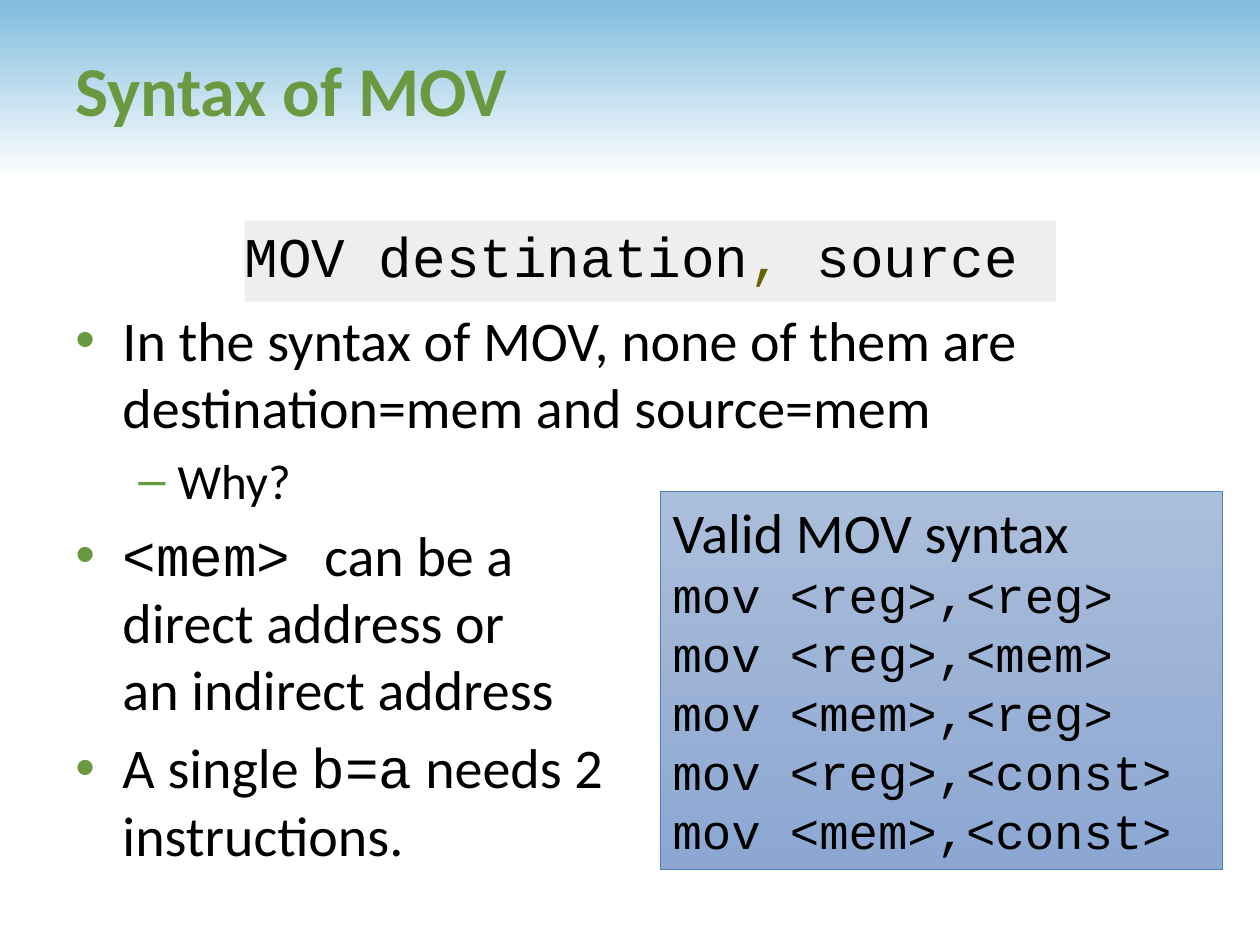
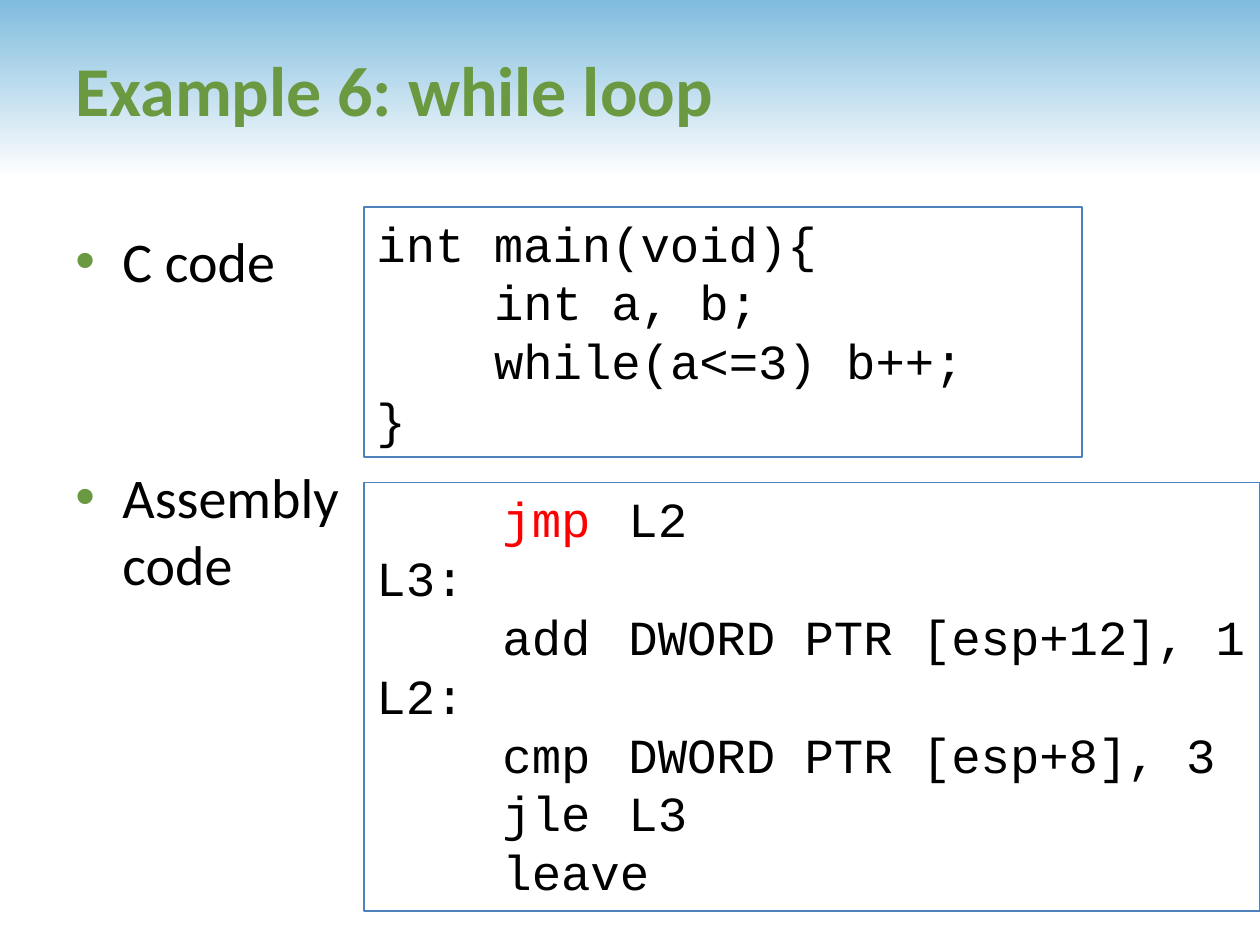
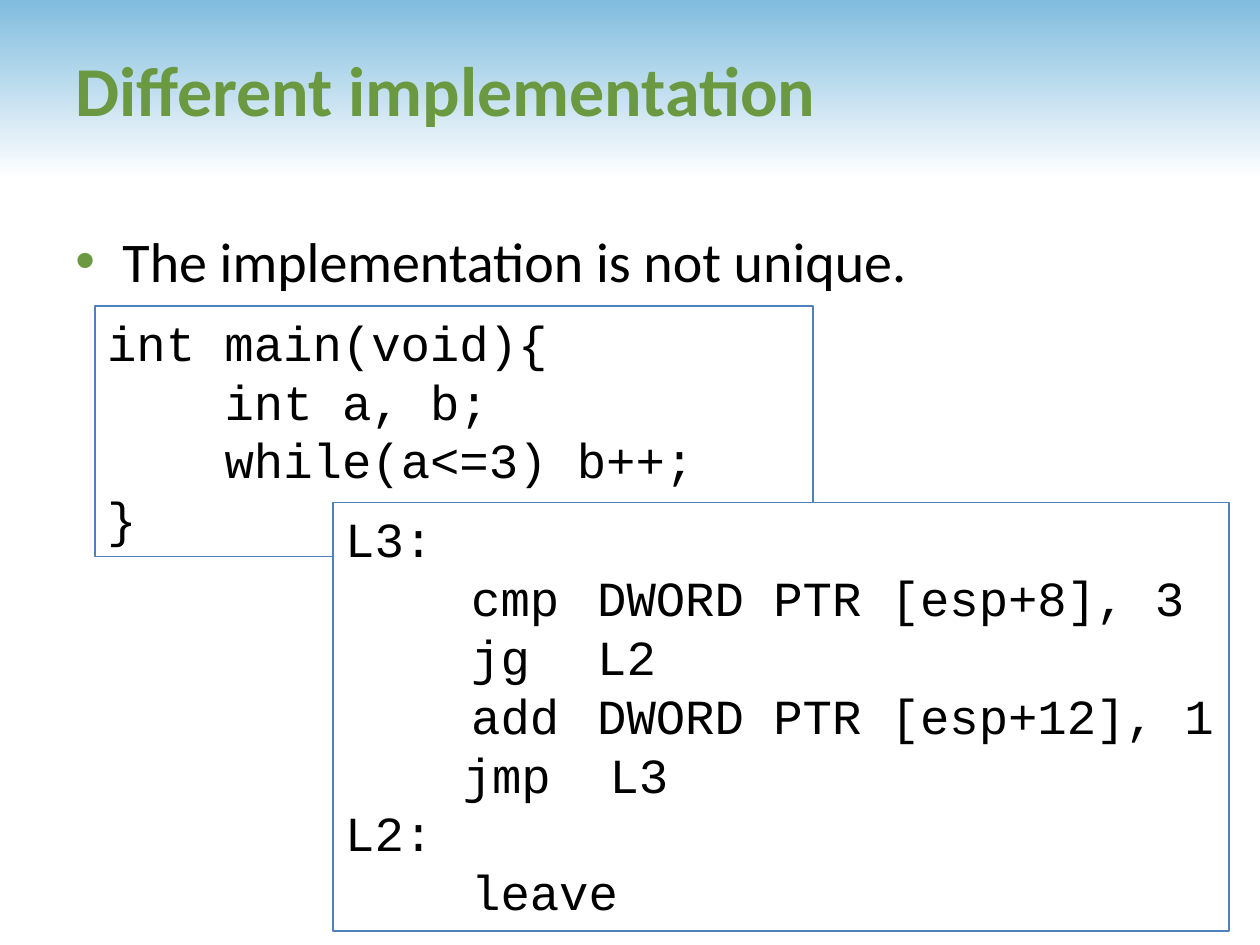
from lxml.etree import SubElement as Sub
from pptx import Presentation as Deck
from pptx.dml.color import RGBColor as Color
from pptx.enum.shapes import MSO_SHAPE as Kind
from pptx.enum.text import MSO_ANCHOR as Anchor, PP_ALIGN as Align
from pptx.oxml.ns import qn
from pptx.util import Cm, Pt

HUES = {
    "sky": "80BCDE", "white": "FFFFFF", "green": "6B9941", "black": "000000",
    "edge": "4F81BD", "pale": "ABBEDB", "deep": "8CA7D2", "gray": "EEEEEE",
    "olive": "666600", "red": "FF0000",
}
SANS, MONO = "Calibri", "Courier New"
LEVELS = [
    {"mark": "•", "left": 0.95, "hang": 0.95, "size": 32},
    {"mark": "–", "left": 2.06, "hang": 0.79, "size": 28},
]
FRAME = {"word_wrap": True, "vertical_anchor": Anchor.TOP}
CODE = FRAME | {"margin_right": Cm(0)}
TITLE = FRAME | {"vertical_anchor": Anchor.MIDDLE}
SYNTAX = TITLE | {
    "margin_left": Cm(0), "margin_right": Cm(0),
    "margin_top": Cm(0), "margin_bottom": Cm(0.25),
}
C_SIZE, ASM_SIZE = (14.48, 5.05), (18.06, 8.64)
C_TABS, ASM_TABS = (2.37, 5.33), (2.54, 5.08)
LOOP = ["int main(void){", "\tint a, b;", "\twhile(a<=3) b++;", "}"]


def tint(name):
    return Color.from_string(HUES[name])


def apply(item, form):
    for key, value in form.items():
        setattr(item, key, value)


def add_run(para, text, size, face=SANS, hue="black", bold=False):
    for row, line in enumerate(text.split("\n")):
        if row:
            para.add_line_break()
        run = para.add_run()
        run.text = line
        apply(run.font, {"name": face, "size": Pt(size), "bold": bold})
        run.font.color.rgb = tint(hue)


def add_paras(frame, count):
    paras = [frame.paragraphs[0]]
    paras += [frame.add_paragraph() for _ in range(count - 1)]
    for para in paras:
        apply(para, {"alignment": Align.LEFT, "space_before": Pt(0)})
    return paras


def set_tabs(para, stops):
    tabs = Sub(para._p.get_or_add_pPr(), qn("a:tabLst"))
    for stop in stops:
        Sub(tabs, qn("a:tab"), pos=str(Cm(stop)), algn="l")


def set_mark(para, level):
    props = para._p.get_or_add_pPr()
    props.set("marL", str(Cm(level["left"])))
    props.set("indent", str(-Cm(level["hang"])))
    shade = Sub(props, qn("a:buClr"))
    Sub(shade, qn("a:srgbClr"), val=HUES["green"])
    Sub(props, qn("a:buFont"), typeface="Arial")
    Sub(props, qn("a:buChar"), char=level["mark"])


def add_box(slide, box, fills, line=None, width=1, form=FRAME, kind=Kind.RECTANGLE):
    shape = slide.shapes.add_shape(kind, *map(Cm, box))
    shape.shadow.inherit = False
    if len(fills) == 1:
        shape.fill.solid()
        shape.fill.fore_color.rgb = tint(fills[0])
    else:
        shape.fill.gradient()
        shape.fill.gradient_angle = 270
        for stop, hue in zip(shape.fill.gradient_stops, fills):
            stop.color.rgb = tint(hue)
    if line:
        shape.line.color.rgb = tint(line)
        shape.line.width = Pt(width)
    else:
        shape.line.fill.background()
    apply(shape.text_frame, form)
    return shape


def add_text(slide, box, form=FRAME):
    frame = slide.shapes.add_textbox(*map(Cm, box)).text_frame
    apply(frame, form)
    return frame


def add_page(deck, title):
    slide = deck.slides.add_slide(deck.slide_layouts[6])
    band = add_box(slide, (0, 0, 25.4, 3.61), ["sky", "white"], kind=Kind.PENTAGON)
    band.adjustments[0] = 0
    frame = add_text(slide, (1.27, 0.2, 23.06, 3.18), TITLE)
    add_run(add_paras(frame, 1)[0], title, 40, hue="green", bold=True)
    return slide


def add_list(slide, box, items):
    frame = add_text(slide, box)
    for para, (depth, gap, runs) in zip(add_paras(frame, len(items)), items):
        level = LEVELS[depth]
        para.space_before = Pt(gap)
        set_mark(para, level)
        for text, face in runs:
            add_run(para, text, level["size"], face)


def add_code(slide, spot, size, lines, stops, odd=None):
    frame = add_box(slide, spot + size, ["white"], "edge", form=CODE).text_frame
    for para, line in zip(add_paras(frame, len(lines)), lines):
        set_tabs(para, C_TABS if line == odd else stops)
        for text, hue in [(line, "black")] if isinstance(line, str) else line:
            add_run(para, text, 28, MONO, hue)


def add_valid(slide, box):
    frame = add_box(slide, box, ["pale", "deep"], "edge", 0.5, CODE).text_frame
    head, body = add_paras(frame, 2)
    add_run(head, "Valid MOV syntax", 32)
    pairs = ["<reg>,<reg>", "<reg>,<mem>", "<mem>,<reg>", "<reg>,<const>", "<mem>,<const>"]
    add_run(body, "\n".join(f"mov {pair}" for pair in pairs), 28, MONO)


def add_syntax(slide, box):
    para = add_paras(add_box(slide, box, ["gray"], form=SYNTAX).text_frame, 1)[0]
    for text, size, hue in [
        ("MOV destination", 32, "black"), (",", 32, "olive"),
        (" source", 32, "black"), (" ", 28, "black"),
    ]:
        add_run(para, text, size, MONO, hue)


def syntax_page(deck):
    slide = add_page(deck, "Syntax of MOV")
    add_list(slide, (1.27, 6.04, 22.86, 12.07), [
        (0, 0, [("In the syntax of MOV, none of them are destination=mem and source=mem", SANS)]),
        (1, 5.6, [("Why?", SANS)]),
        (0, 6.4, [("<mem> ", MONO), ("can be a \ndirect address or \nan indirect address", SANS)]),
        (0, 6.4, [("A single ", SANS), ("b=a", MONO), (" needs 2\ninstructions.", SANS)]),
    ])
    add_valid(slide, (13.31, 9.91, 11.33, 7.62))
    add_syntax(slide, (4.93, 4.45, 16.36, 1.63))


def loop_page(deck):
    slide = add_page(deck, "Example 6: while loop")
    add_list(slide, (1.27, 4.45, 23.06, 11.43), [
        (0, 0, [("C code", SANS)]),
        (0, 96, [("Assembly \ncode", SANS)]),
    ])
    add_code(slide, (7.34, 4.17), C_SIZE, LOOP, C_TABS)
    add_code(slide, (7.34, 9.73), ASM_SIZE, [
        [("\t", "black"), ("jmp", "red"), ("\tL2", "black")],
        "L3:", "\tadd\tDWORD PTR [esp+12], 1",
        "L2:", "\tcmp\tDWORD PTR [esp+8], 3", "\tjle\tL3", "\tleave",
    ], ASM_TABS)


def other_page(deck):
    slide = add_page(deck, "Different implementation")
    add_list(slide, (1.27, 4.45, 23.06, 11.43), [
        (0, 0, [("The implementation is not unique.", SANS)]),
    ])
    add_code(slide, (1.91, 6.17), C_SIZE, LOOP, C_TABS)
    add_code(slide, (6.71, 10.13), ASM_SIZE, [
        "L3:", "\tcmp\tDWORD PTR [esp+8], 3", "\tjg\tL2",
        "\tadd\tDWORD PTR [esp+12], 1", "\tjmp\tL3", "L2:", "\tleave",
    ], ASM_TABS, odd="\tjmp\tL3")


def main():
    deck = Deck()
    apply(deck, {"slide_width": Cm(25.4), "slide_height": Cm(19.05)})
    for build in (syntax_page, loop_page, other_page):
        build(deck)
    deck.save("out.pptx")


if __name__ == "__main__":
    main()
